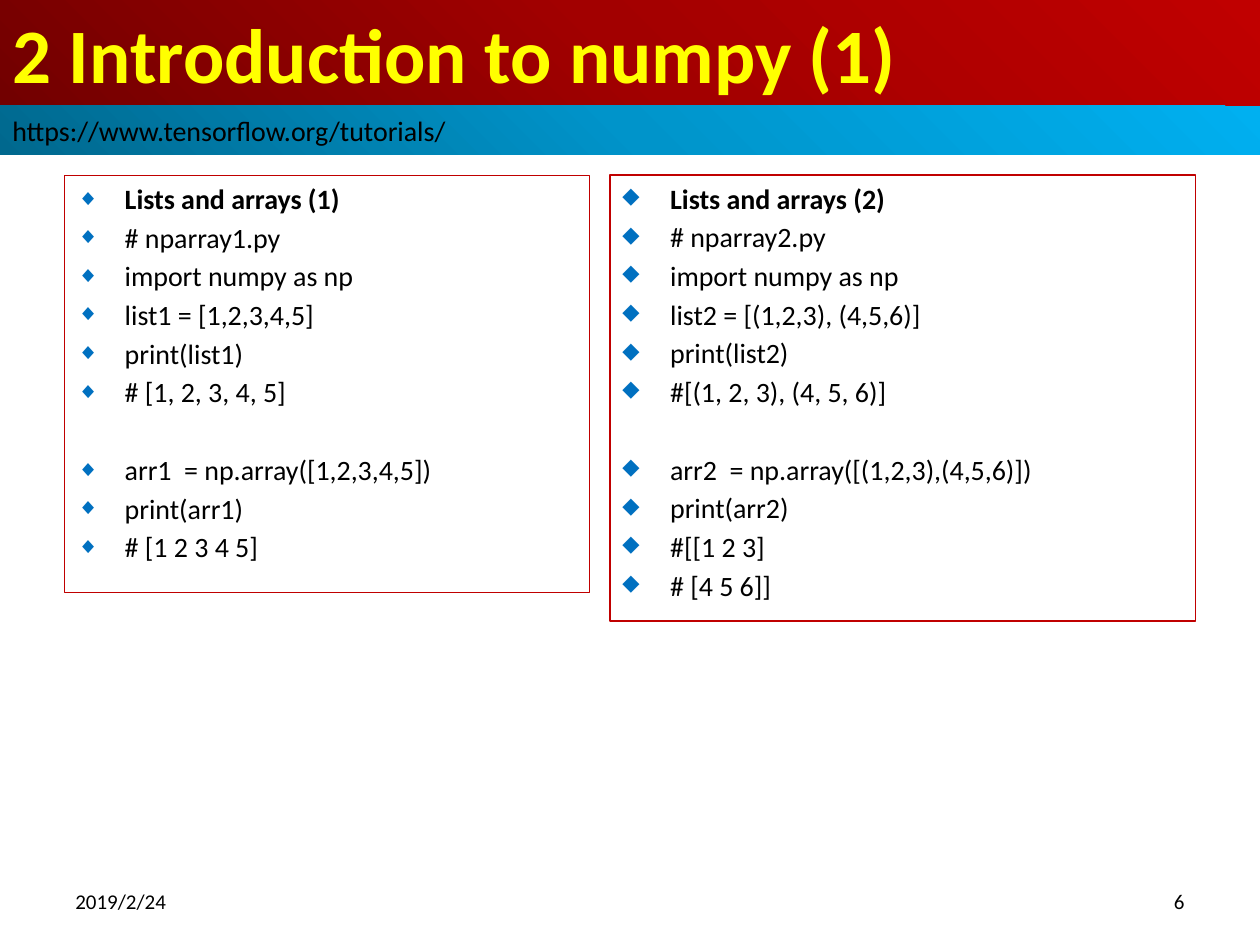
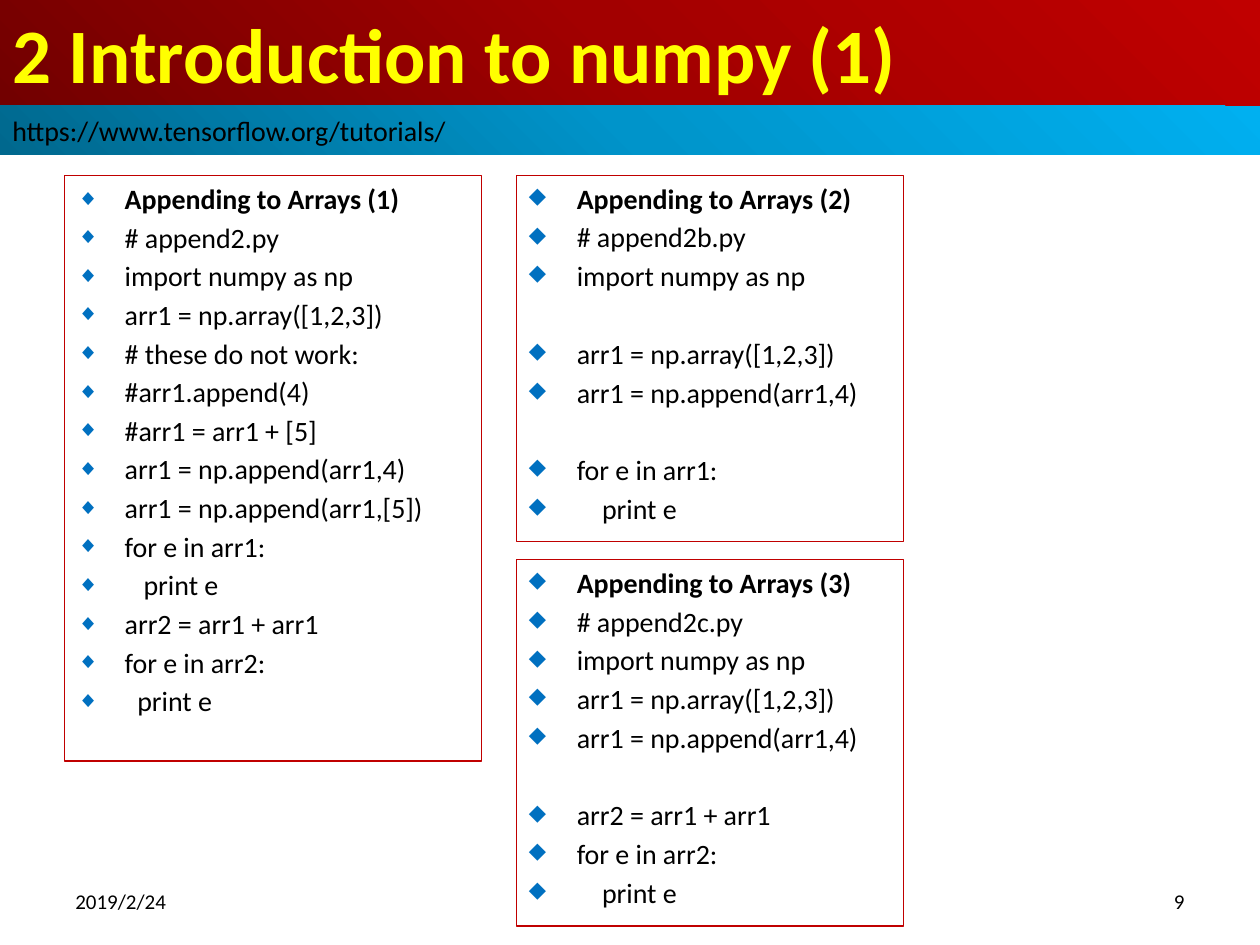
from lxml import etree
from pptx import Presentation
from pptx.dml.color import RGBColor
from pptx.enum.shapes import MSO_SHAPE as Shape
from pptx.enum.text import MSO_ANCHOR as Anchor, MSO_AUTO_SIZE as AutoSize, PP_ALIGN as Align
from pptx.oxml import parse_xml
from pptx.oxml.ns import nsdecls, qn
from pptx.util import Inches, Pt

FONT = "Calibri"
BLACK, YELLOW, RED, BLUE = "000000", "FFFF00", "C00000", "0070C0"
RED_FADE = ("720000", "A20000", "C00000")
BLUE_FADE = ("00688E", "0094CA", "00B0F0")

TITLE = "2 Introduction to numpy (1)"
ADDRESS = "https://www.tensorflow.org/tutorials/"
DATE = "2019/2/24"

CODE_SIZE = 16
LINE_GAP = 2.88      # points above each line
BLANK_LINE = 22.4    # points added where a blank line separates code
HANGING = 0.38       # inches from bullet to code
SPACE_WIDTH = 0.05   # inches of indent per leading space

# Each listing: position (left, top, width, height) and its lines, heading first.
LISTS_AND_ARRAYS = [
    ((0.51, 1.39, 4.17, 3.31), """Lists and arrays (1)
# nparray1.py
import numpy as np
list1 = [1,2,3,4,5]
print(list1)
# [1, 2, 3, 4, 5]

arr1  = np.array([1,2,3,4,5])
print(arr1)
# [1 2 3 4 5]"""),
    ((4.84, 1.39, 4.65, 3.54), """Lists and arrays (2)
# nparray2.py
import numpy as np
list2 = [(1,2,3), (4,5,6)]
print(list2)
#[(1, 2, 3), (4, 5, 6)]

arr2  = np.array([(1,2,3),(4,5,6)])
print(arr2)
#[[1 2 3]
# [4 5 6]]"""),
]

APPENDING = [
    ((0.51, 1.39, 3.31, 4.65), """Appending to Arrays (1)
# append2.py
import numpy as np
arr1 = np.array([1,2,3])
# these do not work:
#arr1.append(4)
#arr1 = arr1 + [5]
arr1 = np.append(arr1,4)
arr1 = np.append(arr1,[5])
for e in arr1:
   print e
arr2 = arr1 + arr1
for e in arr2:
  print e"""),
    ((4.1, 1.39, 3.07, 2.91), """Appending to Arrays (2)
# append2b.py
import numpy as np

arr1 = np.array([1,2,3])
arr1 = np.append(arr1,4)

for e in arr1:
    print e"""),
    ((4.1, 4.44, 3.07, 2.91), """Appending to Arrays (3)
# append2c.py
import numpy as np
arr1 = np.array([1,2,3])
arr1 = np.append(arr1,4)

arr2 = arr1 + arr1
for e in arr2:
    print e"""),
]


def color(value):
    return RGBColor.from_string(value)


def place(shape, box):
    shape.left, shape.top, shape.width, shape.height = map(Inches, box)


def add_rectangle(slide, box):
    rectangle = slide.shapes.add_shape(Shape.RECTANGLE, *map(Inches, box))
    rectangle.shadow.inherit = False
    return rectangle


def style(paragraph, size, fill=BLACK, bold=False, align=Align.LEFT):
    paragraph.alignment = align
    font = paragraph.font
    font.name, font.size, font.bold = FONT, Pt(size), bold
    font.color.rgb = color(fill)


def write_line(shape, text, size, **look):
    """Put one vertically centred line of text into the shape."""
    frame = shape.text_frame
    frame.text = text
    frame.word_wrap = True
    frame.auto_size = AutoSize.NONE
    frame.vertical_anchor = Anchor.MIDDLE
    style(frame.paragraphs[0], size, **look)


def fade(shape, colors):
    """Fill with a gradient that spreads from the lower left corner."""
    stops = "".join(f'<a:gs pos="{i * 50000}"><a:srgbClr val="{c}"/></a:gs>'
                    for i, c in enumerate(colors))
    gradient = parse_xml(
        f'<a:gradFill {nsdecls("a")} rotWithShape="1"><a:gsLst>{stops}</a:gsLst>'
        '<a:path path="circle"><a:fillToRect t="100000" r="100000"/></a:path></a:gradFill>')
    shape.fill.background()
    properties = shape.fill._xPr
    properties.replace(properties.find(qn("a:noFill")), gradient)
    shape.line.fill.background()


def add_bullet(paragraph, indent):
    """Give a diamond bullet at the left edge, with text starting at indent."""
    properties = paragraph._p.get_or_add_pPr()
    properties.set("marL", str(Inches(indent)))
    properties.set("indent", str(-Inches(indent)))
    bullet_color = etree.SubElement(properties, qn("a:buClr"))
    etree.SubElement(bullet_color, qn("a:srgbClr"), val=BLUE)
    etree.SubElement(properties, qn("a:buSzPct"), val="80000")
    etree.SubElement(properties, qn("a:buChar"), char="◆")


def write_listing(shape, listing):
    shape.fill.background()
    shape.line.color.rgb = color(RED)
    shape.line.width = Pt(0.75)
    frame = shape.text_frame
    frame.word_wrap = True
    frame.auto_size = AutoSize.NONE
    frame.vertical_anchor = Anchor.TOP
    heading = True
    gap = LINE_GAP
    for line in listing.splitlines():
        if not line:
            gap += BLANK_LINE
            continue
        code = line.lstrip()
        paragraph = frame.paragraphs[0] if heading else frame.add_paragraph()
        paragraph.text = code
        paragraph.space_before = Pt(gap)
        add_bullet(paragraph, HANGING + SPACE_WIDTH * (len(line) - len(code)))
        style(paragraph, CODE_SIZE, bold=heading)
        heading, gap = False, LINE_GAP


def add_footer(slide, left, text, align):
    footer = slide.shapes.add_textbox(*map(Inches, (left, 6.95, 2.33, 0.4)))
    write_line(footer, text, 12, align=align)


def add_code_slide(deck, number, listings):
    slide = deck.slides.add_slide(deck.slide_layouts[0])
    title, main_listing = slide.placeholders
    place(title, (0, 0, 10, 0.84))
    fade(title, RED_FADE)
    write_line(title, TITLE, 44, fill=YELLOW, bold=True)

    (main_box, main_code), *others = listings
    place(main_listing, main_box)
    write_listing(main_listing, main_code)

    address_band = add_rectangle(slide, (0, 0.84, 10, 0.39))
    fade(address_band, BLUE_FADE)
    write_line(address_band, ADDRESS, 16)
    add_footer(slide, 0.5, DATE, Align.LEFT)
    add_footer(slide, 7.17, str(number), Align.RIGHT)

    for box, code in others:
        write_listing(add_rectangle(slide, box), code)


def main():
    deck = Presentation()
    deck.slide_width, deck.slide_height = Inches(10), Inches(7.5)
    add_code_slide(deck, 6, LISTS_AND_ARRAYS)
    add_code_slide(deck, 9, APPENDING)
    deck.save("out.pptx")


if __name__ == "__main__":
    main()
